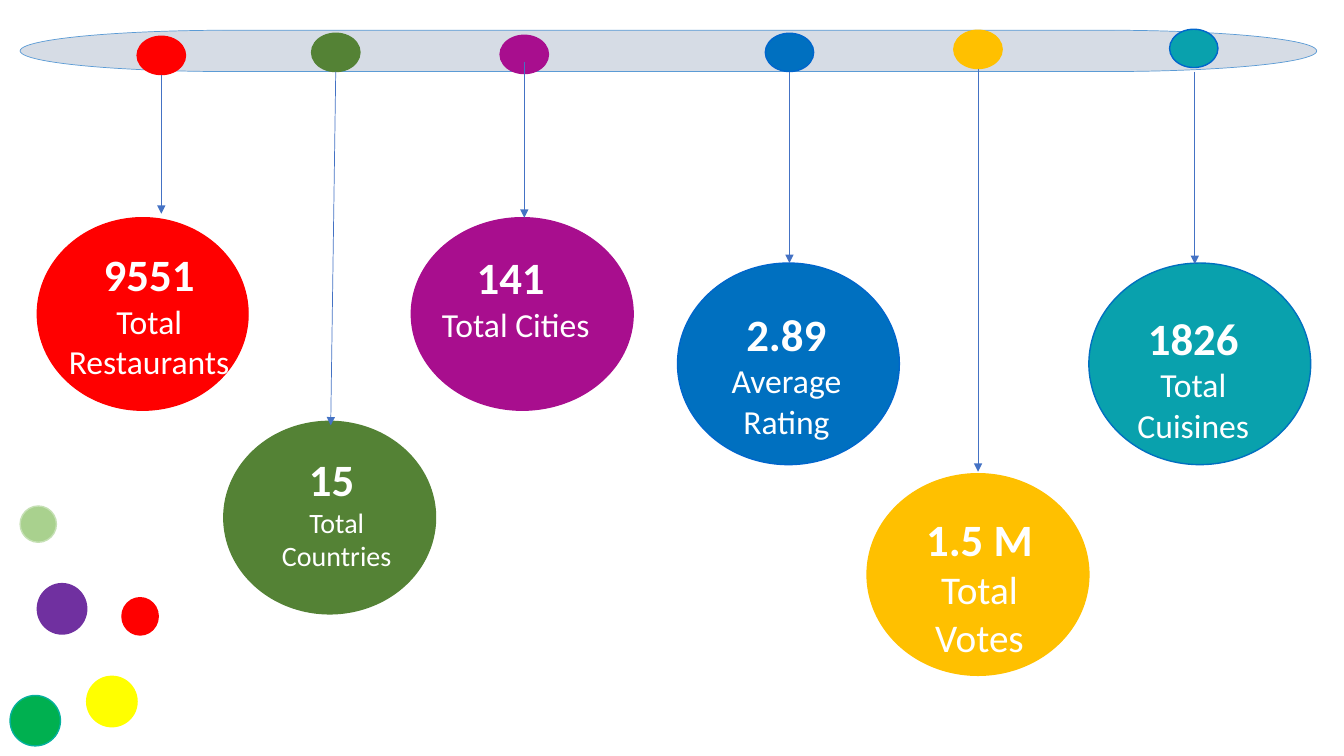
from collections import namedtuple

from lxml import etree
from pptx import Presentation
from pptx import util as u
from pptx.dml.color import RGBColor
from pptx.enum import shapes, text
from pptx.oxml import ns

WHITE = RGBColor(0xFF, 0xFF, 0xFF)
RED = RGBColor(0xFF, 0x00, 0x00)
OLIVE = RGBColor(0x54, 0x82, 0x35)
MAGENTA = RGBColor(0xA8, 0x0E, 0x8E)
BLUE = RGBColor(0x00, 0x70, 0xC0)
BLUE_EDGE = RGBColor(0x00, 0x66, 0xCC)
GOLD = RGBColor(0xFF, 0xC0, 0x00)
TEAL = RGBColor(0x09, 0xA1, 0xAD)
GREEN = RGBColor(0x00, 0xB0, 0x50)
GREEN_EDGE = RGBColor(0x05, 0xB1, 0x9D)
LIGHT_GREEN = RGBColor(0xA9, 0xD1, 0x8E)
PALE_GREEN = RGBColor(0xC5, 0xE0, 0xB4)
YELLOW = RGBColor(0xFF, 0xFF, 0x00)
PURPLE = RGBColor(0x70, 0x30, 0xA0)
BAR_FILL = RGBColor(0xD6, 0xDC, 0xE5)
BAR_EDGE = RGBColor(0x5B, 0x9B, 0xD5)
ARROW = RGBColor(0x44, 0x72, 0xC4)

DOT_SIZE = (0.48, 0.38)
Metric = namedtuple(
    "Metric", "value caption caption_size fill dot_edge bubble_edge dot bubble arrow label")

# Boxes are left, top, width, height; arrows are start x, y and end x, y.
METRICS = [
    Metric("9551", "Total Restaurants", 24, RED, RED, RED, (1.36, 0.36),
           (0.37, 2.16, 2.09, 1.91), (1.6, 0.74, 1.6, 2.12), (0.43, 2.4, 2.1, 1.45)),
    Metric("15 ", "Total Countries", 20, OLIVE, OLIVE, OLIVE, (3.09, 0.33),
           (2.22, 4.18, 2.1, 1.91), (3.33, 0.71, 3.28, 4.22), (2.41, 4.43, 1.86, 1.31)),
    Metric("141 ", "Total Cities", 24, MAGENTA, MAGENTA, MAGENTA, (4.96, 0.35),
           (4.08, 2.16, 2.2, 1.91), (5.2, 0.62, 5.2, 2.16), (4.27, 2.43, 1.69, 1.04)),
    Metric("2.89", "Average Rating", 24, BLUE, BLUE_EDGE, BLUE_EDGE, (7.59, 0.33),
           (6.72, 2.61, 2.2, 2), (7.83, 0.71, 7.83, 2.61), (6.85, 2.99, 1.9, 1.45)),
    Metric("1.5 M", "Total Votes", 28, GOLD, GOLD, GOLD, (9.46, 0.3),
           (8.6, 4.7, 2.2, 2), (9.7, 0.68, 9.7, 4.68), (8.81, 5.03, 1.81, 1.58)),
    Metric("1826", "Total Cuisines", 24, TEAL, BLUE_EDGE, BLUE, (11.6, 0.29),
           (10.8, 2.61, 2.2, 2), (11.85, 0.71, 11.85, 2.62), (11.09, 3.03, 1.49, 1.45)),
]

DECORATIONS = [
    ((0.1, 6.9, 0.5, 0.5), GREEN, GREEN_EDGE),
    ((0.2, 5.02, 0.36, 0.36), LIGHT_GREEN, PALE_GREEN),
    ((0.86, 6.71, 0.5, 0.5), YELLOW, YELLOW),
    ((0.37, 5.79, 0.49, 0.5), PURPLE, PURPLE),
    ((1.21, 5.93, 0.36, 0.37), RED, RED),
]


class SlideBuilder:
    """Holds the current slide and its text style."""

    font_name = "Calibri"
    font_color = WHITE
    value_size = 32

    def __init__(self, slide):
        self.slide = slide

    def shape(self, kind, box, fill, edge, edge_width=1):
        shape = self.slide.shapes.add_shape(kind, *map(u.Inches, box))
        shape.shadow.inherit = False
        shape.fill.solid()
        shape.fill.fore_color.rgb = fill
        shape.line.color.rgb = edge
        shape.line.width = u.Pt(edge_width)

    def ellipse(self, box, fill, edge):
        self.shape(shapes.MSO_SHAPE.OVAL, box, fill, edge)

    def arrow(self, ends):
        connector = self.slide.shapes.add_connector(
            shapes.MSO_CONNECTOR.STRAIGHT, *map(u.Inches, ends))
        connector.line.color.rgb = ARROW
        connector.line.width = u.Pt(0.5)
        line = connector.line._get_or_add_ln()
        etree.SubElement(line, ns.qn("a:tailEnd"), type="triangle")
        etree.SubElement(connector._element.spPr, ns.qn("a:effectLst"))

    def label(self, box, value, caption, caption_size):
        frame = self.slide.shapes.add_textbox(*map(u.Inches, box)).text_frame
        frame.word_wrap = True
        frame.auto_size = text.MSO_AUTO_SIZE.SHAPE_TO_FIT_TEXT
        paragraph = frame.paragraphs[0]
        paragraph.alignment = text.PP_ALIGN.CENTER
        self.run(paragraph, value, self.value_size, True)
        paragraph.add_line_break()
        self.run(paragraph, caption, caption_size, False)

    def run(self, paragraph, words, size, bold):
        run = paragraph.add_run()
        run.text = words
        run.font.name = self.font_name
        run.font.color.rgb = self.font_color
        run.font.size = u.Pt(size)
        run.font.bold = bold


def main():
    presentation = Presentation()
    presentation.slide_width = u.Inches(13.33)
    presentation.slide_height = u.Inches(7.5)
    builder = SlideBuilder(presentation.slides.add_slide(presentation.slide_layouts[6]))

    # Bar across the top
    builder.shape(shapes.MSO_SHAPE.FLOWCHART_TERMINATOR, (0.2, 0.3, 12.86, 0.41),
                  BAR_FILL, BAR_EDGE, 0.5)

    # Metrics hanging from the bar
    for metric in METRICS:
        builder.ellipse(metric.dot + DOT_SIZE, metric.fill, metric.dot_edge)
        builder.ellipse(metric.bubble, metric.fill, metric.bubble_edge)
        builder.arrow(metric.arrow)
        builder.label(metric.label, metric.value, metric.caption, metric.caption_size)

    # Loose circles in the lower left corner
    for box, fill, edge in DECORATIONS:
        builder.ellipse(box, fill, edge)

    presentation.save("out.pptx")


if __name__ == "__main__":
    main()
